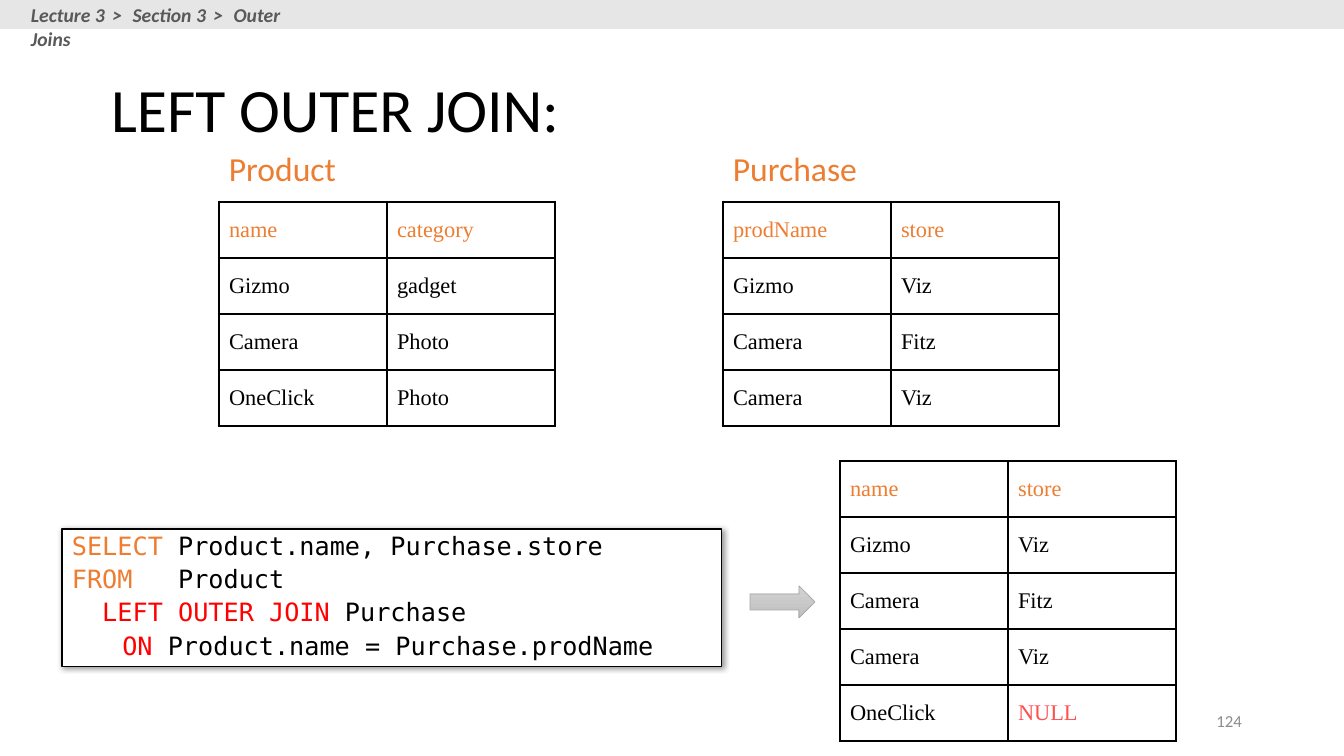
from pptx import Presentation, util as u
from pptx.dml.color import RGBColor
from pptx.enum import shapes as sh, text as tx
from pptx.oxml import parse_xml
from pptx.oxml.ns import nsdecls

COLORS = {
    "black": "000000", "white": "FFFFFF", "orange": "ED7D31", "red": "FF0000",
    "null": "FF5050", "band": "E7E6E6", "crumb": "595959", "number": "8C8C8C",
    "light": "D2D2D2", "dark": "C0C0C0", "edge": "A5A5A5",
}
COL, ROW = 168, 56


def px(*vals):
    return [u.Emu(round(v * 914400 / 100.8)) for v in vals]


def rgb(name):
    return RGBColor.from_string(COLORS[name])


def style(font, size, color, face="Calibri"):
    font.name, font.size = face, u.Pt(size)
    font.color.rgb = rgb(color)


def label(shapes, box, words, size, color, wrap=False):
    frame = shapes.add_textbox(*px(*box)).text_frame
    frame.word_wrap = wrap
    para = frame.paragraphs[0]
    para.text = words
    style(para.font, size, color)
    return frame


def header(slide, box):
    group = slide.shapes.add_group_shape()
    band = group.shapes.add_shape(sh.MSO_SHAPE.RECTANGLE, *px(*box))
    band.shadow.inherit = False
    band.fill.solid()
    band.fill.fore_color.rgb = rgb("band")
    band.line.fill.background()
    left, top = box[:2]
    crumb = label(group.shapes, (left + 21, top - 2, 309, 34), "", 14, "crumb", True)
    para = crumb.paragraphs[0]
    para.font.bold = para.font.italic = True
    for part in ("Lecture 3", " > ", "Section 3", " > ", "Outer Joins"):
        run = para.add_run()
        run.text = part
        if part == " > ":
            run._r.get_or_add_rPr().set("spc", "210")


def title(slide, box, words):
    head = slide.shapes.title
    head.left, head.top, head.width, head.height = px(*box)
    head.text = words
    head.text_frame.vertical_anchor = tx.MSO_ANCHOR.MIDDLE
    para = head.text_frame.paragraphs[0]
    para.alignment = tx.PP_ALIGN.LEFT
    para.line_spacing = 0.9
    style(para.font, 44, "black")


def border(cell, widths):
    """Draw the sides of a cell; widths maps L, R, T, B to points."""
    props = cell._tc.get_or_add_tcPr()
    for side, width in widths.items():
        props.append(parse_xml(
            f'<a:ln{side} {nsdecls("a")} w="{u.Pt(width)}"><a:solidFill>'
            f'<a:srgbClr val="{COLORS["black"]}"/></a:solidFill></a:ln{side}>'))


def grid(slide, left, top, rows, thick=2.25, thin=1):
    """Place a table whose frame and header rule are thick."""
    count, wide = len(rows), len(rows[0])
    table = slide.shapes.add_table(
        count, wide, *px(left, top, COL * wide, ROW * count)).table
    table.first_row = table.horz_banding = False
    for r, row in enumerate(rows):
        table.rows[r].height = px(ROW)[0]
        for c, words in enumerate(row):
            cell = table.cell(r, c)
            border(cell, {
                "L": thick if c == 0 else thin,
                "R": thick if c == wide - 1 else thin,
                "T": thick if r < 2 else thin,
                "B": thick if r in (0, count - 1) else thin,
            })
            cell.fill.background()
            cell.vertical_anchor = tx.MSO_ANCHOR.MIDDLE
            cell.text = words
            color = "orange" if r == 0 else "null" if words == "NULL" else "black"
            style(cell.text_frame.paragraphs[0].font, 16, color, "Times New Roman")


def source(slide, left, top, name, rows):
    label(slide.shapes, (left, top, 146, 50), name, 24, "orange")
    grid(slide, left, top + 59, rows)


def query(slide, box, lines):
    panel = slide.shapes.add_shape(sh.MSO_SHAPE.RECTANGLE, *px(*box))
    panel.fill.solid()
    panel.fill.fore_color.rgb = rgb("white")
    panel.line.color.rgb = rgb("black")
    panel.line.width = u.Pt(0.75)
    panel._element.spPr.append(parse_xml(
        f'<a:effectLst {nsdecls("a")}><a:outerShdw blurRad="50800" dist="12700" '
        f'dir="2700000" algn="tl" rotWithShape="0"><a:srgbClr val="{COLORS["black"]}">'
        '<a:alpha val="40000"/></a:srgbClr></a:outerShdw></a:effectLst>'))
    frame = panel.text_frame
    frame.word_wrap = False
    frame.vertical_anchor = tx.MSO_ANCHOR.TOP
    for i, parts in enumerate(lines):
        para = frame.add_paragraph() if i else frame.paragraphs[0]
        para.alignment = tx.PP_ALIGN.LEFT
        para.line_spacing = 0.9
        para.space_before = u.Pt(4.2 if i else 0)
        for words, color in parts:
            run = para.add_run()
            run.text = words
            style(run.font, 18, color, "DejaVu Sans Mono")


def arrow(slide, box):
    shape = slide.shapes.add_shape(sh.MSO_SHAPE.RIGHT_ARROW, *px(*box))
    shape.shadow.inherit = False
    shape.fill.gradient()
    shape.fill.gradient_angle = 270
    for stop, name in zip(shape.fill.gradient_stops, ("light", "dark")):
        stop.color.rgb = rgb(name)
    shape.line.color.rgb = rgb("edge")
    shape.line.width = u.Pt(0.5)


def number(slide, box, words):
    frame = label(slide.shapes, box, words, 12, "number", True)
    frame.vertical_anchor = tx.MSO_ANCHOR.MIDDLE
    frame.paragraphs[0].alignment = tx.PP_ALIGN.RIGHT


def main():
    deck = Presentation()
    deck.slide_width, deck.slide_height = px(1344, 756)
    slide = deck.slides.add_slide(deck.slide_layouts[5])
    number(slide, (950, 701, 302, 40), "124")
    title(slide, (101, 50, 907, 126), "LEFT OUTER JOIN:")
    source(slide, 219, 143, "Product", [
        ("name", "category"), ("Gizmo", "gadget"),
        ("Camera", "Photo"), ("OneClick", "Photo")])
    sales = [("Gizmo", "Viz"), ("Camera", "Fitz"), ("Camera", "Viz")]
    source(slide, 723, 143, "Purchase", [("prodName", "store"), *sales])
    grid(slide, 840, 461, [("name", "store"), *sales, ("OneClick", "NULL")], 1.5, 1.5)
    header(slide, (0, 0, 1344, 29))
    query(slide, (62, 529, 660, 138), [
        [("SELECT ", "orange"), ("Product.name, Purchase.store", "black")],
        [("FROM", "orange"), ("   Product", "black")],
        [("  LEFT OUTER JOIN ", "red"), ("Purchase", "black")],
        [("\tON ", "red"), ("Product.name = Purchase.prodName", "black")]])
    arrow(slide, (750, 586, 65, 32))
    deck.save("out.pptx")


if __name__ == "__main__":
    main()
